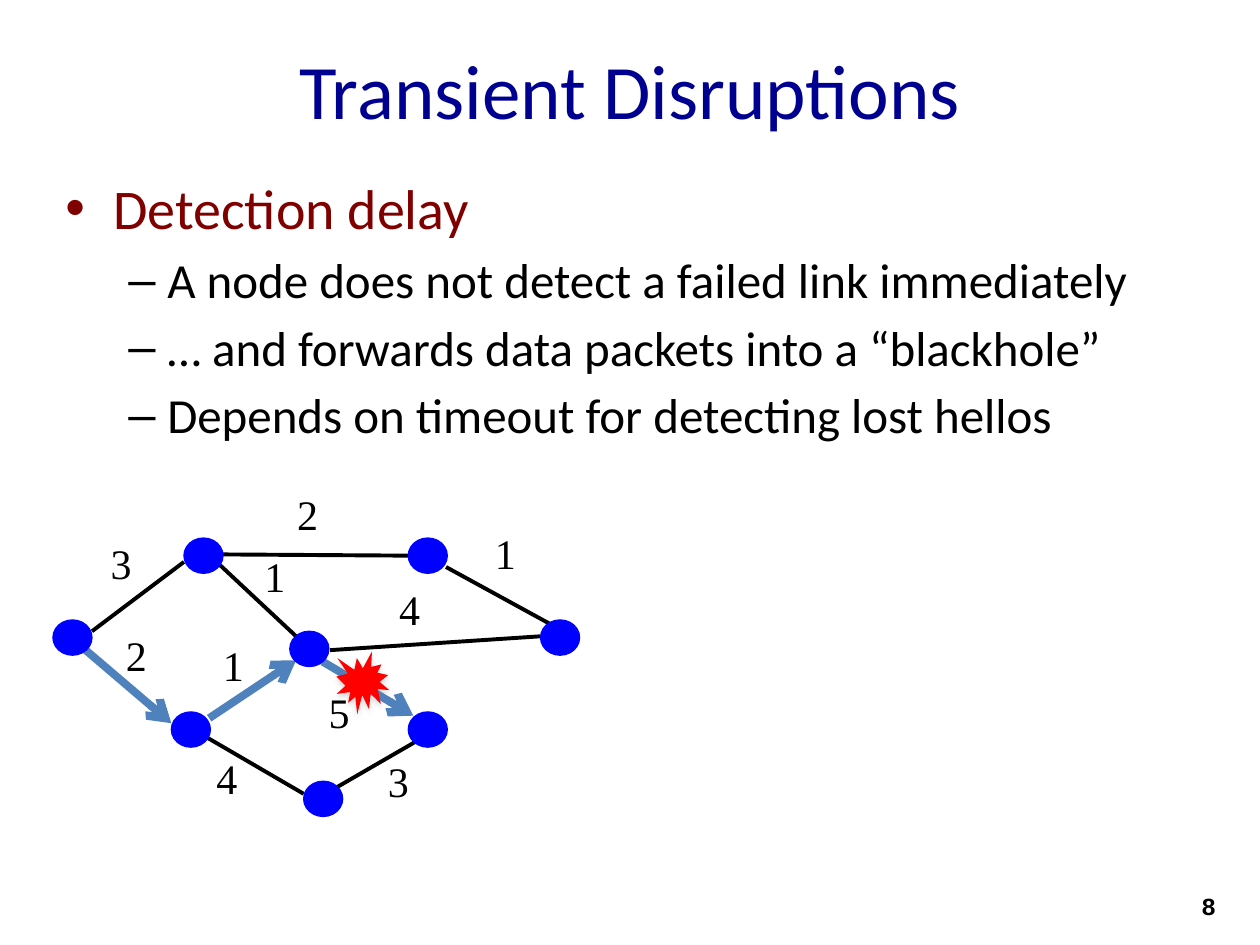
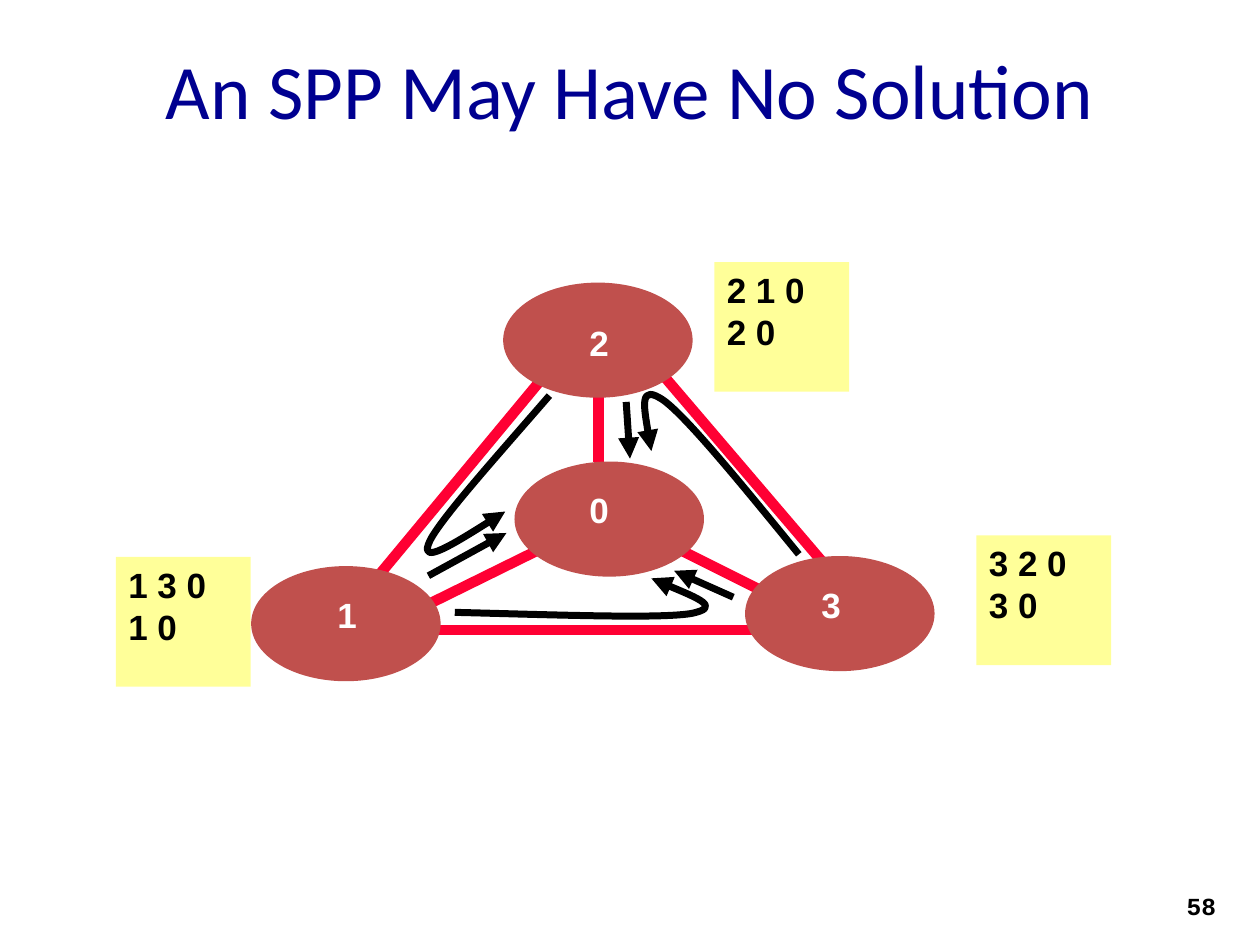
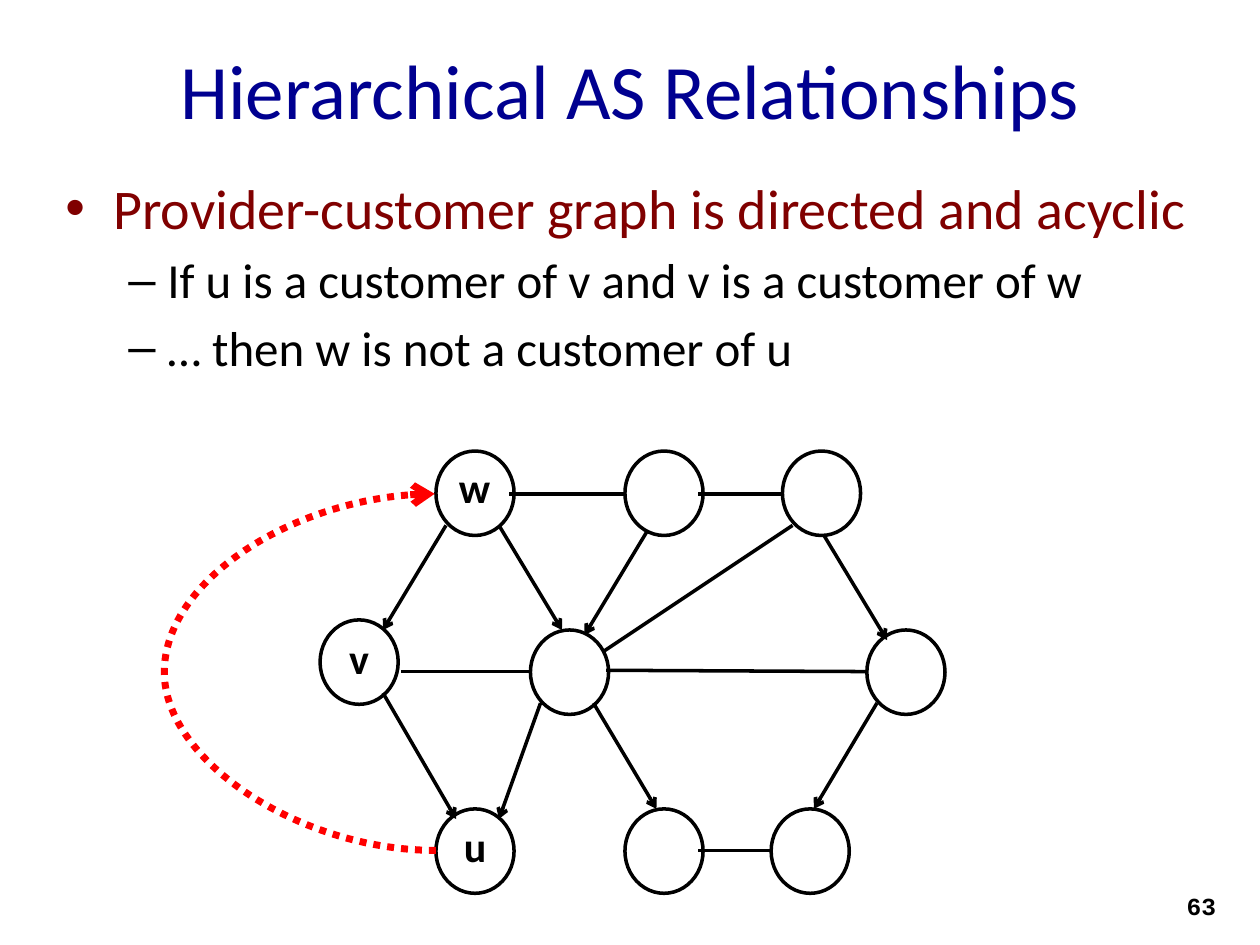
from lxml import etree
from pptx import Presentation
from pptx.dml.color import RGBColor
from pptx.enum.dml import MSO_LINE
from pptx.enum.shapes import MSO_CONNECTOR, MSO_SHAPE
from pptx.enum.text import MSO_ANCHOR, PP_ALIGN
from pptx.oxml import parse_xml
from pptx.oxml.ns import nsdecls, qn
from pptx.util import Inches, Pt

# Shared colours
BLACK = RGBColor(0x00, 0x00, 0x00)
WHITE = RGBColor(0xFF, 0xFF, 0xFF)
NAVY = RGBColor(0x00, 0x00, 0x90)
MAROON = RGBColor(0x80, 0x00, 0x00)
BLUE = RGBColor(0x00, 0x00, 0xFF)
STEEL = RGBColor(0x4F, 0x81, 0xBD)
RED = RGBColor(0xFF, 0x00, 0x00)
CRIMSON = RGBColor(0xFF, 0x00, 0x33)
BRICK = RGBColor(0xC0, 0x50, 0x4D)
YELLOW = RGBColor(0xFF, 0xFF, 0x99)

# Bullet levels: character, left margin, hanging indent, size, colour
LEVELS = [("•", 0.38, 0.38, 32, MAROON), ("–", 0.81, 0.31, 28, BLACK)]


# Text
def write(p, text, size=24, font="Calibri", color=BLACK, bold=False,
          align=PP_ALIGN.LEFT):
    p.alignment = align
    r = p.add_run()
    r.text = text
    r.font.size = Pt(size)
    r.font.name = font
    r.font.bold = bold
    r.font.color.rgb = color


def add_text(s, text, x, y, w, h, wrap=False, anchor=MSO_ANCHOR.TOP, **fmt):
    tf = s.shapes.add_textbox(Inches(x), Inches(y), Inches(w), Inches(h)).text_frame
    tf.word_wrap = wrap
    tf.vertical_anchor = anchor
    write(tf.paragraphs[0], text, **fmt)


def add_bullets(s, items):
    tf = s.shapes.add_textbox(Inches(0.42), Inches(1.33), Inches(9.33),
                              Inches(5.37)).text_frame
    tf.word_wrap = True
    for i, (level, text) in enumerate(items):
        p = tf.add_paragraph() if i else tf.paragraphs[0]
        char, margin, hang, size, color = LEVELS[level]
        pPr = p._p.get_or_add_pPr()
        pPr.set("marL", str(Inches(margin)))
        pPr.set("indent", str(-Inches(hang)))
        etree.SubElement(pPr, qn("a:buFont")).set("typeface", "Arial")
        etree.SubElement(pPr, qn("a:buChar")).set("char", char)
        if i:
            p.level = level
            p.space_before = Pt(5)
        write(p, text, size=size, color=color)


def new_slide(prs, title, number):
    s = prs.slides.add_slide(prs.slide_layouts[6])
    add_text(s, title, 0.5, 0.08, 9, 1.25, wrap=True, anchor=MSO_ANCHOR.MIDDLE,
             size=44, color=NAVY, align=PP_ALIGN.CENTER)
    add_text(s, str(number), 7.42, 7.02, 2.33, 0.4, wrap=True, size=14,
             font="Courier New", bold=True, align=PP_ALIGN.RIGHT)
    return s


# Shapes and lines
def add_shape(s, kind, x, y, w, h, fill=None, line=None, width=1):
    sp = s.shapes.add_shape(kind, Inches(x), Inches(y), Inches(w), Inches(h))
    sp.shadow.inherit = False
    if fill is None:
        sp.fill.background()
    else:
        sp.fill.solid()
        sp.fill.fore_color.rgb = fill
    if line is None:
        sp.line.fill.background()
    else:
        sp.line.color.rgb = line
        sp.line.width = Pt(width)
    return sp


def style_line(sp, color, width, head=None, dash=None):
    sp.line.color.rgb = color
    sp.line.width = Pt(width)
    if dash:
        sp.line.dash_style = dash
    if head:
        ln = sp.element.spPr.find(qn("a:ln"))
        etree.SubElement(ln, qn("a:tailEnd")).set("type", head)


def add_line(s, x1, y1, x2, y2, color=BLACK, width=2.0, head=None, dash=None,
             kind=MSO_CONNECTOR.STRAIGHT):
    c = s.shapes.add_connector(kind, Inches(x1), Inches(y1), Inches(x2), Inches(y2))
    style_line(c, color, width, head, dash)
    etree.SubElement(c.element.spPr, qn("a:effectLst"))
    return c


def add_curve(s, points, **style):
    """Draw a start point followed by three points for each Bézier segment."""
    emu = [(Inches(x), Inches(y)) for x, y in points]
    fb = s.shapes.build_freeform(*emu[0])
    fb.add_line_segments(emu[1:], close=False)
    sp = fb.convert_to_shape()
    sp.shadow.inherit = False
    sp.fill.background()
    style_line(sp, **style)
    steps = list(sp.element.iter(qn("a:lnTo")))
    for i in range(0, len(steps), 3):
        bezier = etree.SubElement(steps[i].getparent(), qn("a:cubicBezTo"))
        for step in steps[i:i + 3]:
            bezier.append(step[0])
            step.getparent().remove(step)


# Slides
def transient_disruptions(prs):
    s = new_slide(prs, "Transient Disruptions", 8)
    add_bullets(s, [
        (0, "Detection delay"),
        (1, "A node does not detect a failed link immediately"),
        (1, "… and forwards data packets into a “blackhole”"),
        (1, "Depends on timeout for detecting lost hellos")])
    links = [(0.73, 5.01, 1.46, 4.46), (1.73, 4.47, 2.35, 5.05),
             (1.62, 5.84, 2.41, 6.3), (2.67, 6.25, 3.31, 5.88),
             (2.62, 5.16, 4.29, 5.05), (1.74, 4.4, 3.24, 4.41),
             (3.54, 4.5, 4.38, 4.96)]
    for link in links:
        add_line(s, *link, width=2.25)
    route = [(0.68, 5.16, 1.36, 5.74), (1.66, 5.7, 2.35, 5.24),
             (2.56, 5.25, 3.28, 5.68)]
    for hop in route:
        add_line(s, *hop, color=STEEL, width=4.5, head="arrow")
    costs = [("3", 0.78, 4.22), ("2", 2.26, 3.83), ("2", 0.9, 4.95),
             ("1", 2, 4.32), ("1", 1.67, 5.03), ("4", 3.07, 4.58),
             ("1", 3.83, 4.14), ("4", 1.62, 5.92), ("5", 2.51, 5.4),
             ("3", 2.98, 5.95)]
    for cost, x, y in costs:
        add_text(s, cost, x, y, 0.37, 0.5, font="Times New Roman")
    nodes = [(0.42, 4.92), (1.36, 5.65), (1.46, 4.27), (2.3, 5.01),
             (3.24, 5.65), (3.24, 4.27), (2.41, 6.2), (4.29, 4.92)]
    for x, y in nodes:
        add_shape(s, MSO_SHAPE.OVAL, x, y, 0.31, 0.28, BLUE, BLUE, 0.75)
    # Failed link
    burst = add_shape(s, MSO_SHAPE.EXPLOSION1, 2.67, 5.17, 0.42, 0.5, RED)
    burst.element.spPr.find(qn("a:effectLst")).append(parse_xml(
        f'<a:outerShdw {nsdecls("a")} blurRad="{Pt(3.1)}" dist="{Pt(1.8)}" '
        'dir="5400000" rotWithShape="0"><a:srgbClr val="808080">'
        '<a:alpha val="35000"/></a:srgbClr></a:outerShdw>'))


def spp_no_solution(prs):
    s = new_slide(prs, "An SPP May Have No Solution", 58)
    links = [(6.92, 4.92, 5, 2.67), (4.58, 2.67, 2.58, 5.08),
             (4.75, 2.42, 4.75, 3.67), (4.67, 4.17, 3.33, 4.83),
             (6.33, 4.83, 5.33, 4.33), (7.08, 5, 2.58, 5)]
    for link in links:
        add_line(s, *link, color=CRIMSON, width=6)
    # Nodes: name, ellipse corner, label corner
    nodes = [("2", 4, 2.25, 4.58, 2.5), ("0", 4.09, 3.67, 4.58, 3.83),
             ("3", 5.92, 4.42, 6.42, 4.58), ("1", 2, 4.5, 2.58, 4.66)]
    for name, x, y, label_x, label_y in nodes:
        add_shape(s, MSO_SHAPE.OVAL, x, y, 1.49, 0.9, BRICK, BRICK)
        add_text(s, name, label_x, label_y, 0.42, 0.57, size=20, font="Arial",
                 color=WHITE, bold=True)
    # Ranked paths of each node
    rankings = [(5.67, 2.08, "2 1 0", "2 0"), (0.92, 4.42, "1 3 0", "1 0"),
                (7.75, 4.25, "3 2 0", "3 0")]
    for x, y, *routes in rankings:
        tf = add_shape(s, MSO_SHAPE.RECTANGLE, x, y, 1.07, 1.03, YELLOW).text_frame
        tf.vertical_anchor = MSO_ANCHOR.TOP
        for i, route in enumerate(routes):
            p = tf.add_paragraph() if i else tf.paragraphs[0]
            write(p, route, size=20, font="Arial", bold=True)
    # Direct and indirect routes to node 0
    arrow = dict(color=BLACK, width=4, head="triangle")
    for direct in [(3.4, 4.57, 4.02, 4.23), (4.97, 3.19, 5, 3.64),
                   (5.82, 4.74, 5.35, 4.53)]:
        add_line(s, *direct, **arrow)
    detours = [
        [(3.61, 4.86), (4.42, 4.88), (5.22, 4.91), (5.48, 4.87),
         (5.74, 4.82), (5.45, 4.71), (5.17, 4.59)],
        [(4.36, 3.14), (3.91, 3.66), (3.45, 4.17), (3.4, 4.32),
         (3.34, 4.48), (3.68, 4.27), (4.01, 4.06)],
        [(6.34, 4.4), (5.9, 3.86), (5.46, 3.32), (5.27, 3.18),
         (5.07, 3.04), (5.12, 3.31), (5.17, 3.58)]]
    for detour in detours:
        add_curve(s, detour, **arrow)


def as_relationships(prs):
    s = new_slide(prs, "Hierarchical AS Relationships", 63)
    add_bullets(s, [
        (0, "Provider-customer graph is directed and acyclic"),
        (1, "If u is a customer of v and v is a customer of w"),
        (1, "… then w is not a customer of u")])
    systems = [(3.46, 3.58), (4.96, 3.58), (6.21, 3.58),
               (2.54, 4.92), (4.21, 5), (6.88, 5),
               (3.46, 6.42), (4.96, 6.42), (6.12, 6.42)]
    for x, y in systems:
        add_shape(s, MSO_SHAPE.OVAL, x, y, 0.62, 0.67, line=BLACK, width=2)
    peers = [(4.81, 5.32, 6.88, 5.33), (4.21, 5.33, 3.18, 5.33),
             (5.54, 6.75, 6.12, 6.75), (4.96, 3.92, 4.04, 3.92),
             (6.21, 3.92, 5.54, 3.92), (6.29, 4.17, 4.79, 5.17)]
    for peer in peers:
        add_line(s, *peer)
    customers = [(3.96, 4.17, 4.46, 5), (6.54, 4.25, 7.04, 5.08),
                 (5.14, 4.21, 4.64, 5.04), (4.29, 5.58, 3.96, 6.5),
                 (4.71, 5.58, 5.21, 6.42), (6.96, 5.58, 6.46, 6.42),
                 (3.04, 5.5, 3.62, 6.5), (3.54, 4.17, 3.04, 5)]
    for customer in customers:
        add_line(s, *customer, head="arrow")
    for name, x, y, w in [("u", 3.58, 6.46, 0.38), ("v", 2.66, 4.97, 0.38),
                          ("w", 3.54, 3.61, 0.45)]:
        add_text(s, name, x, y, w, 0.51, bold=True, align=PP_ALIGN.CENTER)
    # Forbidden relationship, bent 2.19 inches to the left
    c = add_line(s, 3.46, 6.75, 3.45, 3.92, color=RED, width=4, head="arrow",
                 dash=MSO_LINE.ROUND_DOT, kind=MSO_CONNECTOR.CURVE)
    guide = etree.SubElement(c.element.spPr.find(qn("a:prstGeom")).find(qn("a:avLst")),
                             qn("a:gd"))
    guide.set("name", "adj1")
    guide.set("fmla", f"val {round(2.19 / 0.01 * 100000)}")


def main():
    prs = Presentation()
    prs.slide_width, prs.slide_height = Inches(10), Inches(7.5)
    transient_disruptions(prs)
    spp_no_solution(prs)
    as_relationships(prs)
    prs.save("out.pptx")


if __name__ == "__main__":
    main()
